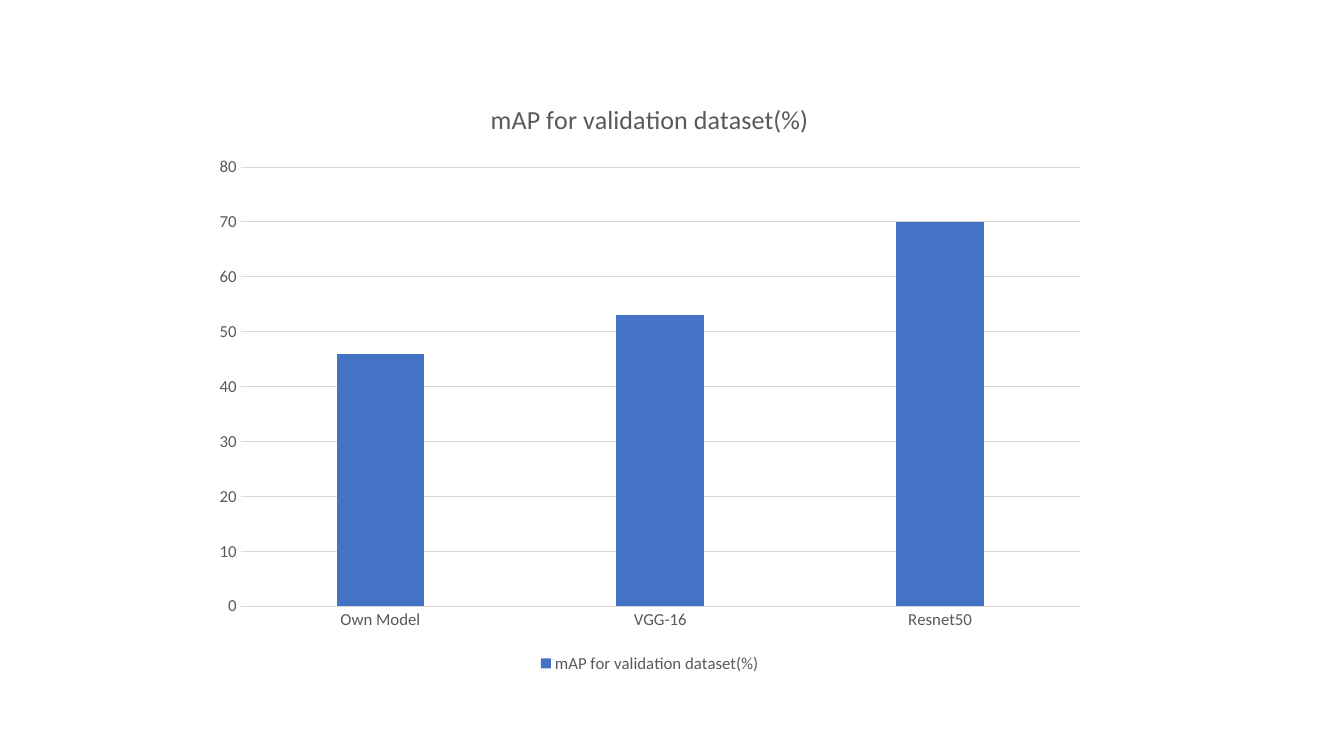
from pptx import Presentation
from pptx.chart.data import CategoryChartData
from pptx.dml.color import RGBColor
from pptx.enum.chart import XL_CHART_TYPE, XL_LEGEND_POSITION, XL_TICK_MARK
from pptx.util import Inches, Pt

BLUE = RGBColor(0x44, 0x72, 0xC4)
TEXT_GRAY = RGBColor(0x59, 0x59, 0x59)
LINE_GRAY = RGBColor(0xD9, 0xD9, 0xD9)
FONT = "Calibri"
METRIC = "mAP for validation dataset(%)"


def format_font(font, size):
    font.name = FONT
    font.size = Pt(size)
    font.bold = False
    font.color.rgb = TEXT_GRAY


presentation = Presentation()
presentation.slide_width = Inches(13.33)
presentation.slide_height = Inches(7.5)
slide = presentation.slides.add_slide(presentation.slide_layouts[6])

chart_data = CategoryChartData()
chart_data.categories = ["Own Model", "VGG-16", "Resnet50"]
chart_data.add_series(METRIC, [46, 53, 70])
chart = slide.shapes.add_chart(
    XL_CHART_TYPE.COLUMN_CLUSTERED,
    Inches(2), Inches(0.79), Inches(8.89), Inches(5.93), chart_data,
).chart
format_font(chart.font, 12)

chart.has_title = True
title_run = chart.chart_title.text_frame.paragraphs[0].add_run()
title_run.text = METRIC
format_font(title_run.font, 18.6)
chart.chart_title.include_in_layout = False

chart.has_legend = True
chart.legend.position = XL_LEGEND_POSITION.BOTTOM
chart.legend.include_in_layout = False
format_font(chart.legend.font, 12)

for axis in (chart.category_axis, chart.value_axis):
    axis.major_tick_mark = XL_TICK_MARK.NONE
    axis.minor_tick_mark = XL_TICK_MARK.NONE
    format_font(axis.tick_labels.font, 12)

value_axis = chart.value_axis
value_axis.minimum_scale = 0
value_axis.maximum_scale = 80
value_axis.major_unit = 10
value_axis.has_major_gridlines = True
value_axis.format.line.fill.background()
for line in (chart.category_axis.format.line, value_axis.major_gridlines.format.line):
    line.color.rgb = LINE_GRAY
    line.width = Pt(0.75)

plot = chart.plots[0]
plot.gap_width = 219
plot.overlap = -27
plot.vary_by_categories = False
series = plot.series[0]
series.format.fill.solid()
series.format.fill.fore_color.rgb = BLUE
series.invert_if_negative = False

presentation.save("out.pptx")
